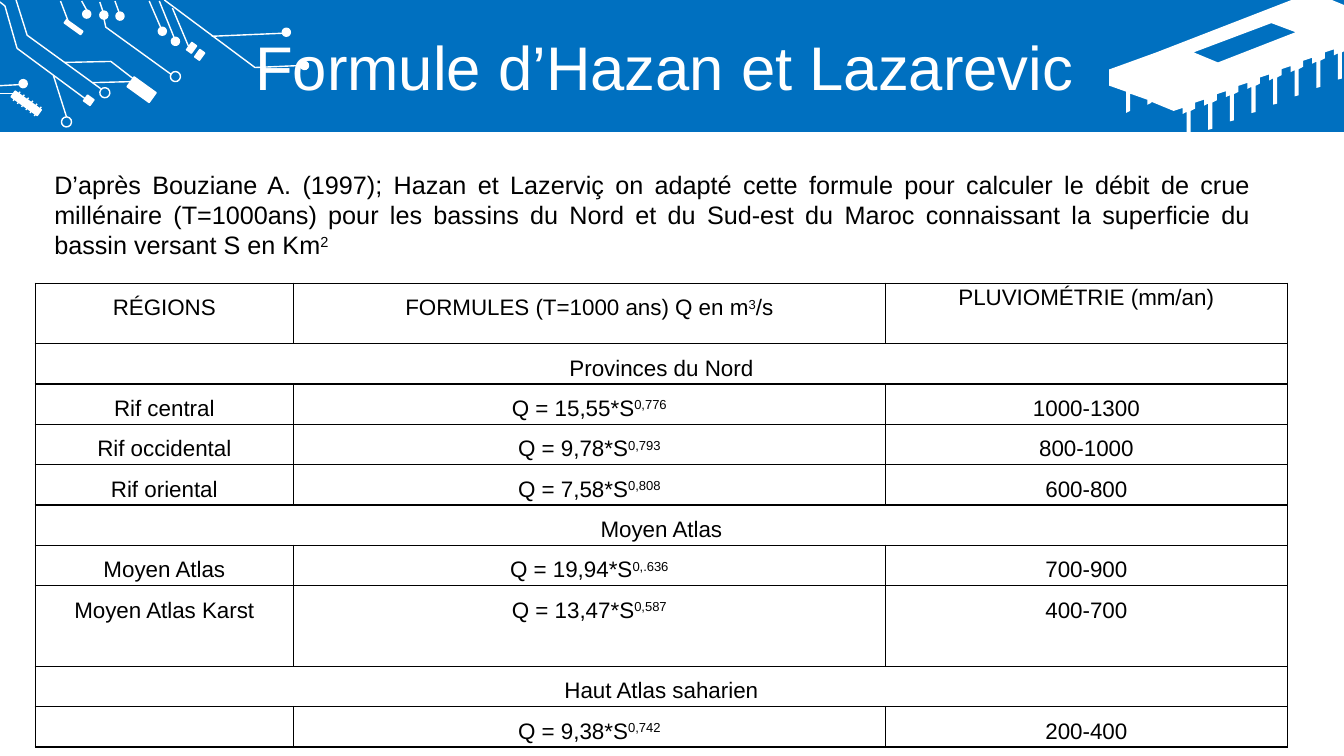
from lxml import etree
from pptx import Presentation
from pptx.dml.color import RGBColor
from pptx.enum.shapes import MSO_CONNECTOR, MSO_SHAPE
from pptx.enum.text import MSO_ANCHOR, PP_ALIGN
from pptx.oxml import parse_xml
from pptx.oxml.ns import nsdecls, qn
from pptx.util import Inches, Pt

BLUE = RGBColor(0x00, 0x70, 0xC0)
WHITE = RGBColor(0xFF, 0xFF, 0xFF)
BLACK = RGBColor(0x00, 0x00, 0x00)
STRAIGHT = MSO_CONNECTOR.STRAIGHT
RECTANGLE = MSO_SHAPE.RECTANGLE
OVAL = MSO_SHAPE.OVAL
MIDDLE = MSO_ANCHOR.MIDDLE
TOP = MSO_ANCHOR.TOP
CENTER = PP_ALIGN.CENTER
JUSTIFY = PP_ALIGN.JUSTIFY


def add_runs(para, texts, size, color):
    for index, text in enumerate(texts):
        span = para.add_run()
        span.text = text
        span.font.name = "Arial"
        span.font.size = Pt(size)
        span.font.color.rgb = color
        if index == 1:
            span._r.get_or_add_rPr().set("baseline", "30000")


def paint(shape, fill, line):
    shape.shadow.inherit = False
    if fill is None:
        shape.fill.background()
    else:
        shape.fill.solid()
        shape.fill.fore_color.rgb = fill
    if line is None:
        shape.line.fill.background()
    else:
        shape.line.color.rgb = line
        shape.line.width = Pt(1)


deck = Presentation()
deck.slide_width = Inches(13.33)
deck.slide_height = Inches(7.5)
page = deck.slides.add_slide(deck.slide_layouts[5])
shapes = page.shapes

band = shapes.add_shape(RECTANGLE, 0, 0, Inches(13.33), Inches(1.31))
paint(band, BLUE, None)

pin = [(0, 0), (0, 0.26), (-0.04, 0.27), (-0.04, 0.01),
       (-0.08, 0.03), (-0.08, -0.03), (-0.17, 0), (-0.17, 0.06)]
pins = [(13.31 - 1.5 * i / 7 + x, 0.52 + 0.083 * i + y) for i in range(8) for x, y in pin]
chip_outline = [(13.21, 0), (13.33, 0.05), (13.33, 0.51)] + pins[:-1] + [
    (11.42, 1.01), (11.42, 1.02), (11.38, 1.04), (11.38, 0.99), (11.21, 0.93), (11.21, 1.1),
    (11.17, 1.12), (11.17, 0.91), (11, 0.85), (11, 0.69), (11.47, 0.52)]
chip_window = [(11.84, 0.52), (12.08, 0.62), (12.85, 0.32)]
builder = shapes.build_freeform(Inches(12.61), Inches(0.23))
builder.add_line_segments([(Inches(x), Inches(y)) for x, y in chip_window], close=True)
builder.move_to(Inches(12.81), 0)
builder.add_line_segments([(Inches(x), Inches(y)) for x, y in chip_outline], close=True)
paint(builder.convert_to_shape(), WHITE, None)

components = [
    (1.27, 0.83, 0.27, 0.12), (0.63, 0.25, 0.2, 0.04), (0.84, 0.96, 0.08, 0.07),
    (1.87, 0.43, 0.06, 0.09), (1.95, 0.5, 0.06, 0.09), (0.1, 0.99, 0.32, 0.07)]
dots = [(2.98, 0.61), (2.8, 0.28), (0.82, 0.1), (0.99, 0.11), (1.15, 0.12),
        (0.19, 0.79), (1.7, 0.37), (1.57, 0.27)]
rings = [(1.69, 0.71), (0.99, 0.87), (0.61, 1.16)]
parts = [(RECTANGLE, place, WHITE) for place in components]
parts += [(OVAL, (x, y, 0.08, 0.08), WHITE) for x, y in dots]
parts += [(OVAL, (x, y, 0.1, 0.1), None) for x, y in rings]
for kind, place, fill in parts:
    part = shapes.add_shape(kind, *[Inches(value) for value in place])
    part.rotation = 35.7
    paint(part, fill, WHITE)

tracks = [
    [(1.63, 0), (2.53, 0.67), (2.99, 0.65)],
    [(0.16, 0), (0.27, 0.35), (1, 0.88)],
    [(0, 0.02), (0.05, 0.06), (0.17, 0.48), (0.86, 0.99)],
    [(0.64, 0.62), (1.1, 0.61), (1.32, 0.78)],
    [(1.03, 0.18), (1.05, 0.27), (1.7, 0.74)]]
for track in tracks:
    points = [(Inches(x), Inches(y)) for x, y in track]
    builder = shapes.build_freeform(*points[0])
    builder.add_line_segments(points[1:], close=False)
    paint(builder.convert_to_shape(), None, WHITE)

wires = [
    (0.6, 0.01, 0.68, 0.22), (0.81, 0.01, 0.86, 0.1), (0.99, 0.02, 1.02, 0.11),
    (1.14, 0.01, 1.18, 0.12), (1.48, 0.01, 1.61, 0.31), (1.58, 0.01, 1.73, 0.38),
    (2.1, 0.36, 2.8, 0.33), (1.71, 0.08, 1.87, 0.46), (0, 0.85, 0.19, 0.84),
    (0, 0.93, 0.14, 0.93), (0.53, 0.75, 0.66, 1.16), (0.92, 0.82, 1.3, 0.81)]
for i in range(6):
    x, y = 0.13 + 0.042 * i, 1 + 0.03 * i
    wires.append((x, y, x + 0.07, y - 0.09))
for ends in wires:
    wire = shapes.add_connector(STRAIGHT, *[Inches(value) for value in ends])
    wire.line.color.rgb = WHITE
    wire.line.width = Pt(1)
    etree.SubElement(wire.element.spPr, qn("a:effectLst"))

title = shapes.title
shapes.element.append(title.element)
title.left, title.top = Inches(0.35), Inches(0.3)
title.width, title.height = Inches(12.66), Inches(0.79)
title.text_frame.vertical_anchor = MIDDLE
para = title.text_frame.paragraphs[0]
para.alignment = CENTER
para.line_spacing = 0.9
add_runs(para, ["Formule d’Hazan et Lazarevic "], 44, WHITE)

intro = shapes.add_textbox(Inches(0.44), Inches(1.63), Inches(12.06), Inches(1.01))
intro.text_frame.word_wrap = True
para = intro.text_frame.paragraphs[0]
para.alignment = JUSTIFY
add_runs(para, [
    "D’après Bouziane A. (1997); Hazan et Lazerviç on adapté cette formule pour calculer "
    "le débit de crue millénaire (T=1000ans) pour les bassins du Nord et du Sud-est du Maroc "
    "connaissant la superficie du bassin versant S en Km", "2"], 18, BLACK)

rows = [
    [["RÉGIONS"], ["FORMULES (T=1000 ans) Q en m", "3", "/s"], ["PLUVIOMÉTRIE (mm/an)"]],
    [["Provinces du Nord"]],
    [["Rif central"], ["Q = 15,55*S", "0,776"], ["1000-1300"]],
    [["Rif occidental"], ["Q = 9,78*S", "0,793"], ["800-1000"]],
    [["Rif oriental"], ["Q = 7,58*S", "0,808"], ["600-800"]],
    [["Moyen Atlas"]],
    [["Moyen Atlas"], ["Q = 19,94*S", "0,.636"], ["700-900"]],
    [["Moyen Atlas Karst"], ["Q = 13,47*S", "0,587"], ["400-700"]],
    [["Haut Atlas saharien"]],
    [[], ["Q = 9,38*S", "0,742"], ["200-400"]]]
heights = {0: 0.6, 7: 0.8}
frame = shapes.add_table(len(rows), 3, Inches(0.35), Inches(2.81), Inches(12.42), Inches(4.44))
table = frame.table
table.first_row = False
table.horz_banding = False
for column, width in zip(table.columns, (2.56, 5.87, 3.99)):
    column.width = Inches(width)
for r, row in enumerate(rows):
    table.rows[r].height = Inches(heights.get(r, 0.38))
    if len(row) == 1:
        table.cell(r, 0).merge(table.cell(r, 2))
    for c in range(3):
        cell = table.cell(r, c)
        cell.fill.background()
        cell.margin_left = cell.margin_right = Inches(0.07)
        cell.margin_top = cell.margin_bottom = 0
        cell.vertical_anchor = TOP
        properties = cell._tc.get_or_add_tcPr()
        for index, side in enumerate(("lnL", "lnR", "lnT", "lnB")):
            properties.insert(index, parse_xml(
                f'<a:{side} {nsdecls("a")} w="12700"><a:solidFill>'
                f'<a:srgbClr val="{BLACK}"/></a:solidFill></a:{side}>'))
        para = cell.text_frame.paragraphs[0]
        para.font.size = Pt(16)
        if c < len(row) and row[c]:
            para.alignment = CENTER
            para.line_spacing = 1.07 if (r, c) == (0, 2) else 1.5
            para.space_after = Pt(8)
            add_runs(para, row[c], 16, BLACK)

deck.save("out.pptx")
